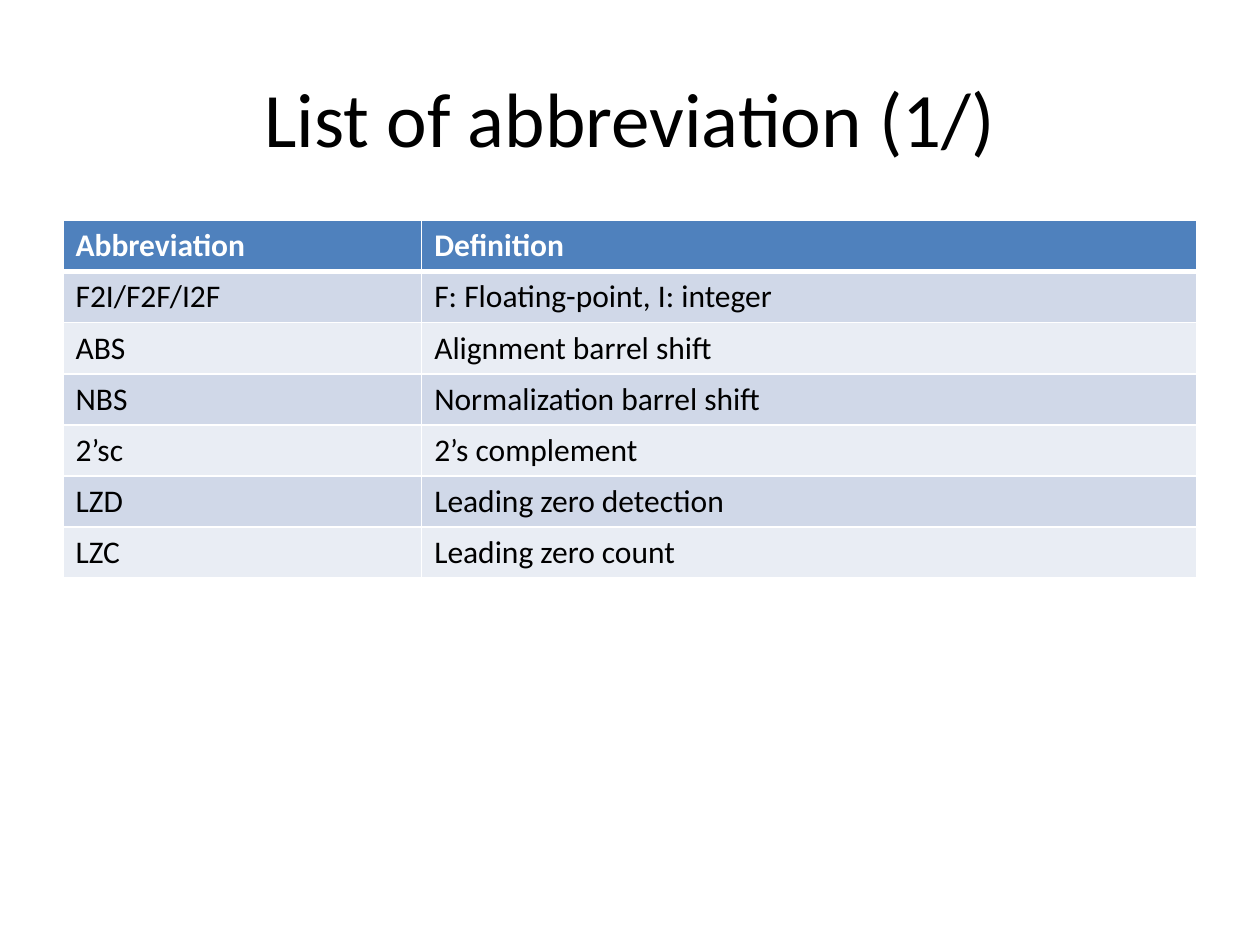
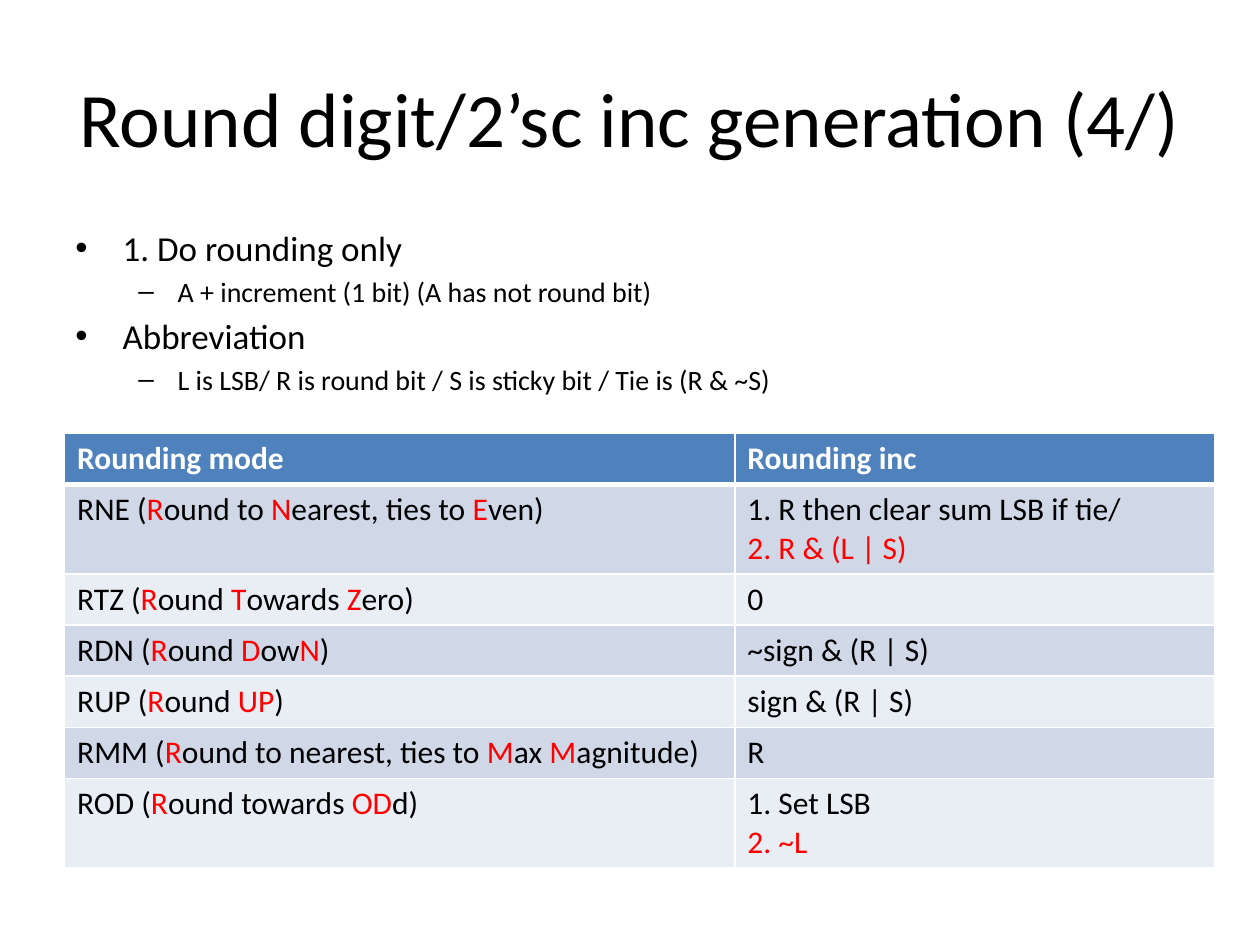
from dataclasses import dataclass
from typing import Any

from lxml import etree
from pptx import Presentation
from pptx import util as u
from pptx.dml import color
from pptx.enum import text
from pptx.oxml import ns

COLORS = {
    "ink": "000000",
    "paper": "FFFFFF",
    "accent": "FF0000",
    "header": "4F81BD",
    "odd_band": "D0D8E8",
    "even_band": "E9EDF4",
}
FONT = "Calibri"
LINE_HEIGHT = 21.95
CELL_PADDING = 7.25
TITLE_FRAME = (36, 21.6, 648, 90)
BODY_FRAME = (36, 126, 648, 356.4)


@dataclass(frozen=True)
class BulletLevel:
    symbol: str
    size: float
    margin: float
    hanging: float


@dataclass(frozen=True)
class Bullet:
    label: str
    level: BulletLevel


@dataclass(frozen=True)
class Grid:
    left: float
    top: float
    widths: tuple[float, ...]
    rows: tuple[tuple[str, ...], ...]


MAIN = BulletLevel("•", 20, 27, 27)
SUB = BulletLevel("–", 16, 58.5, 22.5)

ABBREVIATIONS = Grid(36, 126, (205, 443), (
    ("Abbreviation", "Definition"),
    ("F2I/F2F/I2F", "F: Floating-point, I: integer"),
    ("ABS", "Alignment barrel shift"),
    ("NBS", "Normalization barrel shift"),
    ("2’sc", "2’s complement"),
    ("LZD", "Leading zero detection"),
    ("LZC", "Leading zero count"),
))

ROUNDING_NOTES = (
    Bullet("1. Do rounding only", MAIN),
    Bullet("A + increment (1 bit) (A has not round bit)", SUB),
    Bullet("Abbreviation", MAIN),
    Bullet("L is LSB/ R is round bit / S is sticky bit / Tie is (R & ~S)", SUB),
)

ROUNDING_MODES = Grid(36.9, 247.7, (383, 274.5), (
    ("Rounding mode", "Rounding inc"),
    ("RNE (*R*ound to *N*earest, ties to *E*ven)",
     "1. R then clear sum LSB if tie/\n*2. R & (L | S)*"),
    ("RTZ (*R*ound *T*owards *Z*ero)", "0"),
    ("RDN (*R*ound *D*ow*N*)", "~sign & (R | S)"),
    ("RUP (*R*ound *UP*)", "sign & (R | S)"),
    ("RMM (*R*ound to nearest, ties to *M*ax *M*agnitude)", "R"),
    ("ROD (*R*ound towards *OD*d)", "1. Set LSB\n*2. ~L*"),
))


def apply(target: Any, values: dict[str, Any]) -> None:
    for name, value in values.items():
        setattr(target, name, value)


def rgb(name: str) -> color.RGBColor:
    return color.RGBColor.from_string(COLORS[name])


def write(para: Any, marked: str, size: float, ink: str = "ink", bold: bool = False) -> None:
    """Write a paragraph in which asterisks enclose accented words."""
    for index, words in enumerate(marked.split("*")):
        if words:
            span = para.add_run()
            span.text = words
            apply(span.font, {"name": FONT, "size": u.Pt(size), "bold": bold})
            span.font.color.rgb = rgb("accent" if index % 2 else ink)


def add_box(page: Any, bounds: tuple[float, ...], anchor: Any) -> Any:
    box = page.shapes.add_textbox(*map(u.Pt, bounds))
    apply(box.text_frame, {"word_wrap": True, "vertical_anchor": anchor})
    return box.text_frame


def next_para(frame: Any, index: int) -> Any:
    return frame.add_paragraph() if index else frame.paragraphs[0]


def add_page(deck: Any, title: str) -> Any:
    page = deck.slides.add_slide(deck.slide_layouts[6])
    para = add_box(page, TITLE_FRAME, text.MSO_ANCHOR.MIDDLE).paragraphs[0]
    para.alignment = text.PP_ALIGN.CENTER
    write(para, title, 44)
    return page


def add_bullets(page: Any, bullets: tuple[Bullet, ...]) -> None:
    frame = add_box(page, BODY_FRAME, text.MSO_ANCHOR.TOP)
    for index, bullet in enumerate(bullets):
        level = bullet.level
        para = next_para(frame, index)
        para.space_before = u.Pt(level.size * 0.2)
        write(para, bullet.label, level.size)
        props = para._p.get_or_add_pPr()
        props.set("marL", str(u.Pt(level.margin)))
        props.set("indent", str(-u.Pt(level.hanging)))
        etree.SubElement(props, ns.qn("a:buFont"), typeface="Arial")
        etree.SubElement(props, ns.qn("a:buChar"), char=level.symbol)


def add_borders(cell: Any, widths: dict[str, float]) -> None:
    props = cell._tc.get_or_add_tcPr()
    for index, (side, width) in enumerate(widths.items()):
        line = etree.Element(ns.qn(f"a:ln{side}"), w=str(u.Pt(width)))
        fill = etree.SubElement(line, ns.qn("a:solidFill"))
        etree.SubElement(fill, ns.qn("a:srgbClr"), val=COLORS["paper"])
        props.insert(index, line)


def fill_cell(cell: Any, content: str, row: int) -> None:
    is_header = row == 0
    band = "header" if is_header else "odd_band" if row % 2 else "even_band"
    cell.fill.solid()
    cell.fill.fore_color.rgb = rgb(band)
    add_borders(cell, {"L": 1, "R": 1, "T": 3 if row == 1 else 1, "B": 3 if is_header else 1})
    for index, line in enumerate(content.split("\n")):
        para = next_para(cell.text_frame, index)
        write(para, line, 18, "paper" if is_header else "ink", is_header)


def add_grid(page: Any, grid: Grid) -> None:
    heights = [
        CELL_PADDING + LINE_HEIGHT * max(content.count("\n") + 1 for content in row)
        for row in grid.rows
    ]
    bounds = (grid.left, grid.top, sum(grid.widths), sum(heights))
    table = page.shapes.add_table(
        len(grid.rows), len(grid.widths), *map(u.Pt, bounds)
    ).table
    for column, width in zip(table.columns, grid.widths):
        column.width = u.Pt(width)
    for row, (contents, height) in enumerate(zip(grid.rows, heights)):
        table.rows[row].height = u.Pt(height)
        for column, content in enumerate(contents):
            fill_cell(table.cell(row, column), content, row)


def main() -> None:
    deck = Presentation()
    apply(deck, {"slide_width": u.Pt(720), "slide_height": u.Pt(540)})

    add_grid(add_page(deck, "List of abbreviation (1/)"), ABBREVIATIONS)

    rounding = add_page(deck, "Round digit/2’sc inc generation (4/)")
    add_bullets(rounding, ROUNDING_NOTES)
    add_grid(rounding, ROUNDING_MODES)

    deck.save("out.pptx")


if __name__ == "__main__":
    main()
